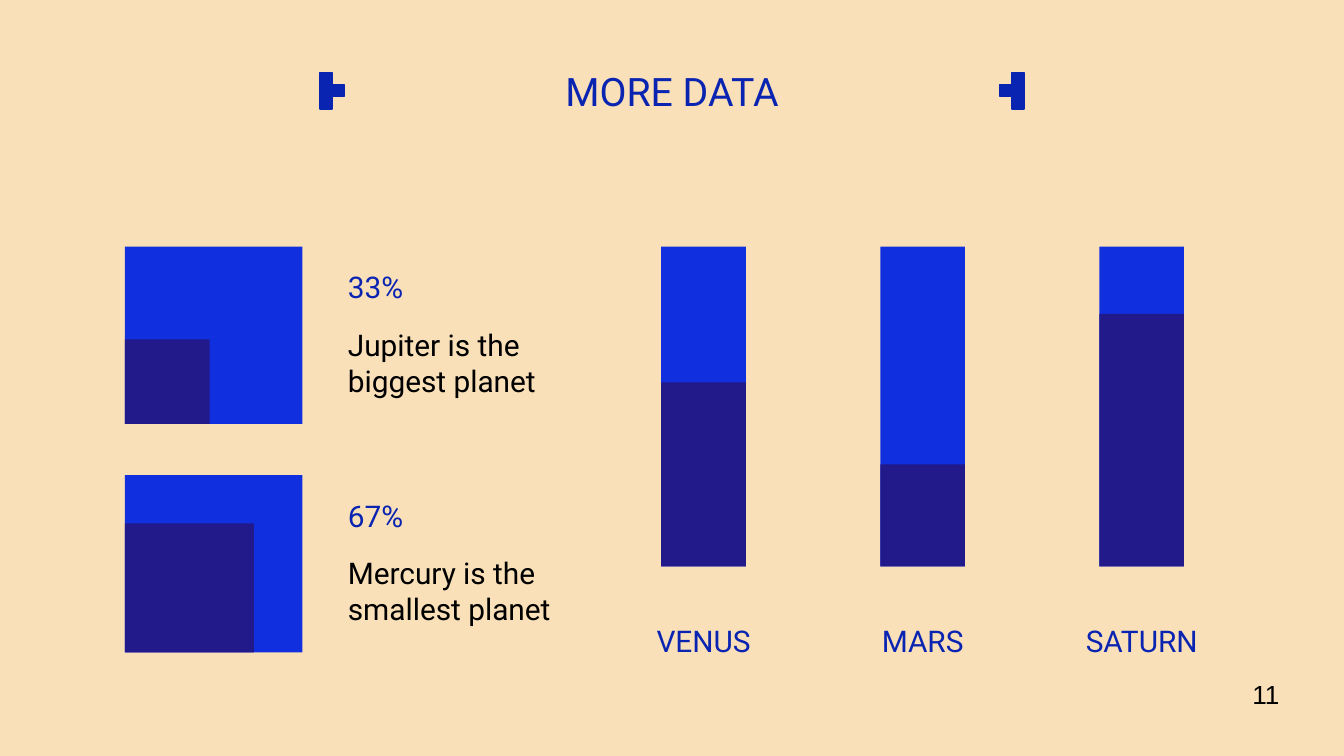
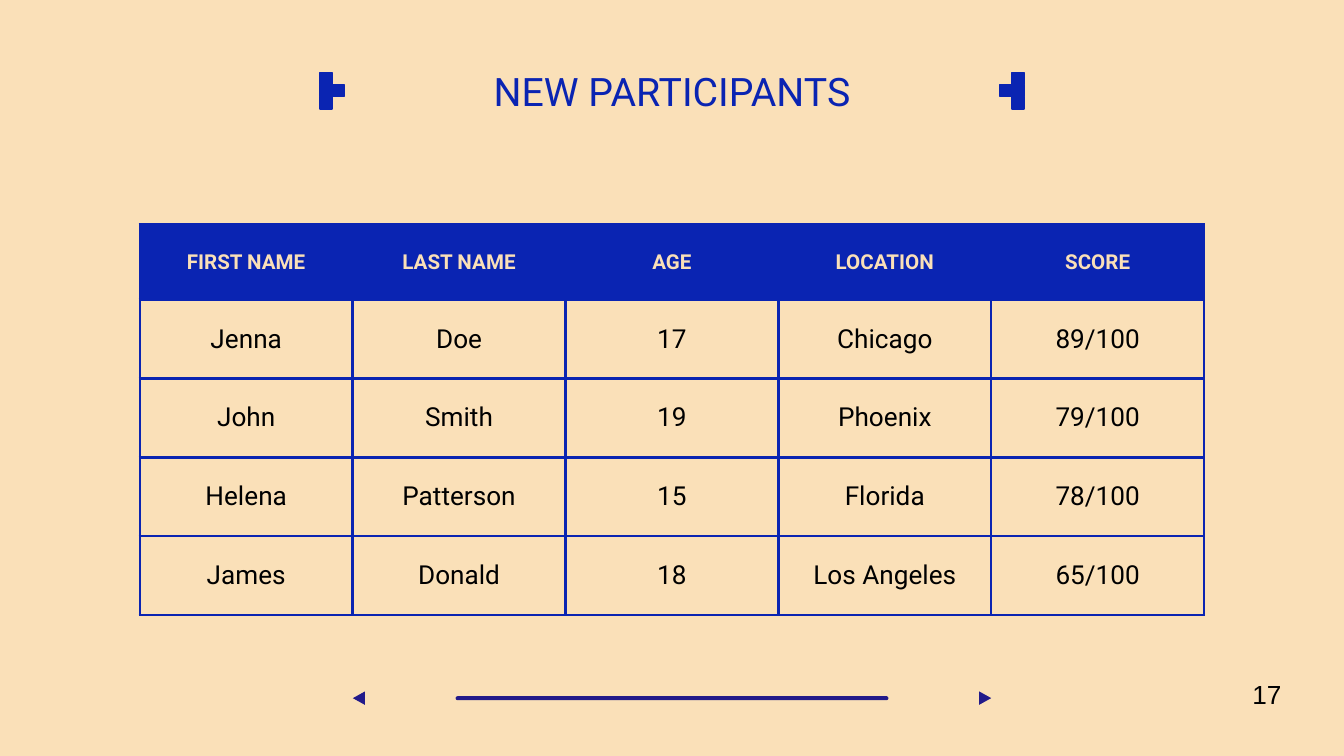
"""Build the planet data slide and the participants slide."""
from typing import Any, NamedTuple

from lxml import etree
from pptx import Presentation
from pptx import util as u
from pptx.dml.color import RGBColor
from pptx.enum import shapes, text
from pptx.oxml import ns

WIDTH, HEIGHT = u.Inches(10), u.Inches(5.625)
GRID = WIDTH / 100
CREAM, NAVY, BLUE, INDIGO, BLACK = "FAE0B8", "0A24B2", "1030DF", "221A8A", "000000"
FONT = "Roboto"
LEFT, CENTER = text.PP_ALIGN.LEFT, text.PP_ALIGN.CENTER
RECTANGLE = shapes.MSO_SHAPE.RECTANGLE
INSETS = {f"margin_{side}": u.Inches(0.1) for side in ("left", "right", "top", "bottom")}


class Box(NamedTuple):
    """Hold a frame in grid units, each one hundredth of the slide width."""
    left: float
    top: float
    width: float
    height: float


class Style(NamedTuple):
    """Hold the look of a piece of text."""
    size: float
    color: str
    align: Any = LEFT
    bold: bool = False
    font: str = FONT


class SquareGauge(NamedTuple):
    """Hold one square gauge with its text."""
    level: float
    share: str
    fact: str


class BarGauge(NamedTuple):
    """Hold one upright bar with its label."""
    level: float
    planet: str


class Ornament(NamedTuple):
    """Hold one turned shape of the bottom navigation."""
    kind: Any
    box: Box
    rotation: float


TITLE = Style(21, NAVY, CENTER)
HEADING = Style(16, NAVY)
LABEL = Style(16, NAVY, CENTER)
FACT = Style(16, BLACK)
NUMBER = Style(14, BLACK, font="Arial")
TABLE_HEAD = Style(11, CREAM, CENTER, True)
TABLE_BODY = Style(14, BLACK, CENTER)

SQUARES = (
    SquareGauge(6.3, "33%", "Jupiter is the biggest planet"),
    SquareGauge(9.6, "67%", "Mercury is the smallest planet"),
)
BARS = (BarGauge(13.7, "VENUS"), BarGauge(7.6, "MARS"), BarGauge(18.8, "SATURN"))
NAVIGATION = (
    Ornament(shapes.MSO_SHAPE.ROUNDED_RECTANGLE, Box(49.85, 35.85, 0.3, 32.2), 270),
    Ornament(shapes.MSO_SHAPE.ISOSCELES_TRIANGLE, Box(26.2, 51.5, 1, 0.9), 270),
    Ornament(shapes.MSO_SHAPE.ISOSCELES_TRIANGLE, Box(72.8, 51.5, 1, 0.9), 90),
)
PARTICIPANTS = (
    ("FIRST NAME", "LAST NAME", "AGE", "LOCATION", "SCORE"),
    ("Jenna", "Doe", "17", "Chicago", "89/100"),
    ("John", "Smith", "19", "Phoenix", "79/100"),
    ("Helena", "Patterson", "15", "Florida", "78/100"),
    ("James", "Donald", "18", "Los Angeles", "65/100"),
)


def color(value: str) -> RGBColor:
    """Turn a hex string into a colour."""
    return RGBColor.from_string(value)


def grid(*lengths: float) -> list[int]:
    """Turn grid units into slide lengths."""
    return [round(length * GRID) for length in lengths]


def apply(target: Any, values: dict[str, Any]) -> None:
    """Set every attribute named in the format values."""
    for name, value in values.items():
        setattr(target, name, value)


def write(frame: Any, words: str, style: Style) -> None:
    """Put styled words into a text frame."""
    paragraph = frame.paragraphs[0]
    paragraph.alignment = style.align
    run = paragraph.add_run()
    run.text = words
    apply(run.font, {"name": style.font, "size": u.Pt(style.size), "bold": style.bold})
    run.font.color.rgb = color(style.color)


def add_text(slide: Any, box: Box, words: str, style: Style) -> None:
    """Add a wrapped text box."""
    frame = slide.shapes.add_textbox(*grid(*box)).text_frame
    apply(frame, {"word_wrap": True, **INSETS})
    write(frame, words, style)


def add_block(parent: Any, box: Box, fill: str, kind: Any = RECTANGLE) -> Any:
    """Add a plain filled shape without an outline."""
    shape = parent.shapes.add_shape(kind, *grid(*box))
    shape.shadow.inherit = False
    shape.fill.solid()
    shape.fill.fore_color.rgb = color(fill)
    shape.line.fill.background()
    return shape


def add_bracket(slide: Any, spine: float, tooth: float) -> None:
    """Add one title bracket made of four small squares."""
    group = slide.shapes.add_group_shape()
    cells = [(spine, row) for row in range(3)] + [(tooth, 1)]
    for left, row in cells:
        square = add_block(group, Box(left, 5.4 + 0.9 * row, 0.9, 0.9), NAVY)
        square.line.color.rgb = color(NAVY)
        square.line.width = u.Pt(0.75)


def add_gauge(slide: Any, box: Box, level_width: float, level_height: float) -> None:
    """Add a gauge whose level rises from its bottom left corner."""
    group = slide.shapes.add_group_shape()
    add_block(group, box, BLUE)
    top = box.top + box.height - level_height
    add_block(group, Box(box.left, top, level_width, level_height), INDIGO)


def add_slide(presentation: Any, title: str, number: str) -> Any:
    """Add a slide with its title, brackets and number."""
    slide = presentation.slides.add_slide(presentation.slide_layouts[5])
    holder = slide.shapes.title
    left, top, width, height = grid(3.4, 3.2, 93.2, 6.3)
    apply(holder, {"left": left, "top": top, "width": width, "height": height})
    apply(holder.text_frame, {
        "vertical_anchor": text.MSO_ANCHOR.BOTTOM,
        "auto_size": text.MSO_AUTO_SIZE.NONE,
        "word_wrap": True,
        **INSETS,
    })
    write(holder.text_frame, title, TITLE)
    add_bracket(slide, 23.8, 24.7)
    add_bracket(slide, 75.3, 74.4)
    frame = slide.shapes.add_textbox(*grid(92.2, 50, 4.4, 3.4)).text_frame
    frame.word_wrap = False
    write(frame, number, NUMBER)
    return slide


def add_borders(cell: Any) -> None:
    """Draw the four borders of a table cell."""
    properties = cell._tc.get_or_add_tcPr()
    for side in ("lnL", "lnR", "lnT", "lnB"):
        line = etree.SubElement(properties, ns.qn(f"a:{side}"), w=str(u.Pt(1.5)))
        fill = etree.SubElement(line, ns.qn("a:solidFill"))
        etree.SubElement(fill, ns.qn("a:srgbClr"), val=NAVY)


def add_participants(slide: Any) -> None:
    """Add the table of participants."""
    count = len(PARTICIPANTS[0])
    frame = slide.shapes.add_table(
        len(PARTICIPANTS), count, *grid(10.4, 16.7, 15.84 * count, 29.1))
    table = frame.table
    apply(table, {"first_row": False, "horz_banding": False})
    for column in table.columns:
        column.width = grid(15.84)[0]
    for index, names in enumerate(PARTICIPANTS):
        header = index == 0
        table.rows[index].height = grid(5.6 if header else 5.87)[0]
        for cell, words in zip(table.rows[index].cells, names):
            apply(cell, {"vertical_anchor": text.MSO_ANCHOR.MIDDLE, **INSETS})
            add_borders(cell)
            if header:
                cell.fill.solid()
                cell.fill.fore_color.rgb = color(NAVY)
            else:
                cell.fill.background()
            write(cell.text_frame, words, TABLE_HEAD if header else TABLE_BODY)


def build_data(presentation: Any) -> None:
    """Build the slide with square gauges and bars."""
    slide = add_slide(presentation, "MORE DATA", "11")
    for index, square in enumerate(SQUARES):
        top = 18.35 + 17 * index
        add_gauge(slide, Box(9.3, top, 13.2, 13.2), square.level, square.level)
        add_text(slide, Box(24.9, top + 0.65, 17.9, 4.3), square.share, HEADING)
        add_text(slide, Box(24.9, top + 4.95, 17.9, 7.6), square.fact, FACT)
    for index, bar in enumerate(BARS):
        left = 49.2 + 16.3 * index
        add_gauge(slide, Box(left, 18.35, 6.3, 23.8), 6.3, bar.level)
        add_text(slide, Box(left - 5.8, 45.3, 17.9, 4.3), bar.planet, LABEL)


def build_participants(presentation: Any) -> None:
    """Build the slide with the table and bottom navigation."""
    slide = add_slide(presentation, "NEW PARTICIPANTS", "17")
    add_participants(slide)
    for ornament in NAVIGATION:
        shape = add_block(slide, ornament.box, INDIGO, ornament.kind)
        shape.adjustments[0] = 0.5
        shape.rotation = ornament.rotation


def main() -> None:
    """Build and save the presentation."""
    presentation = Presentation()
    apply(presentation, {"slide_width": WIDTH, "slide_height": HEIGHT})
    background = presentation.slide_master.background.fill
    background.solid()
    background.fore_color.rgb = color(CREAM)
    build_data(presentation)
    build_participants(presentation)
    presentation.save("out.pptx")


if __name__ == "__main__":
    main()
